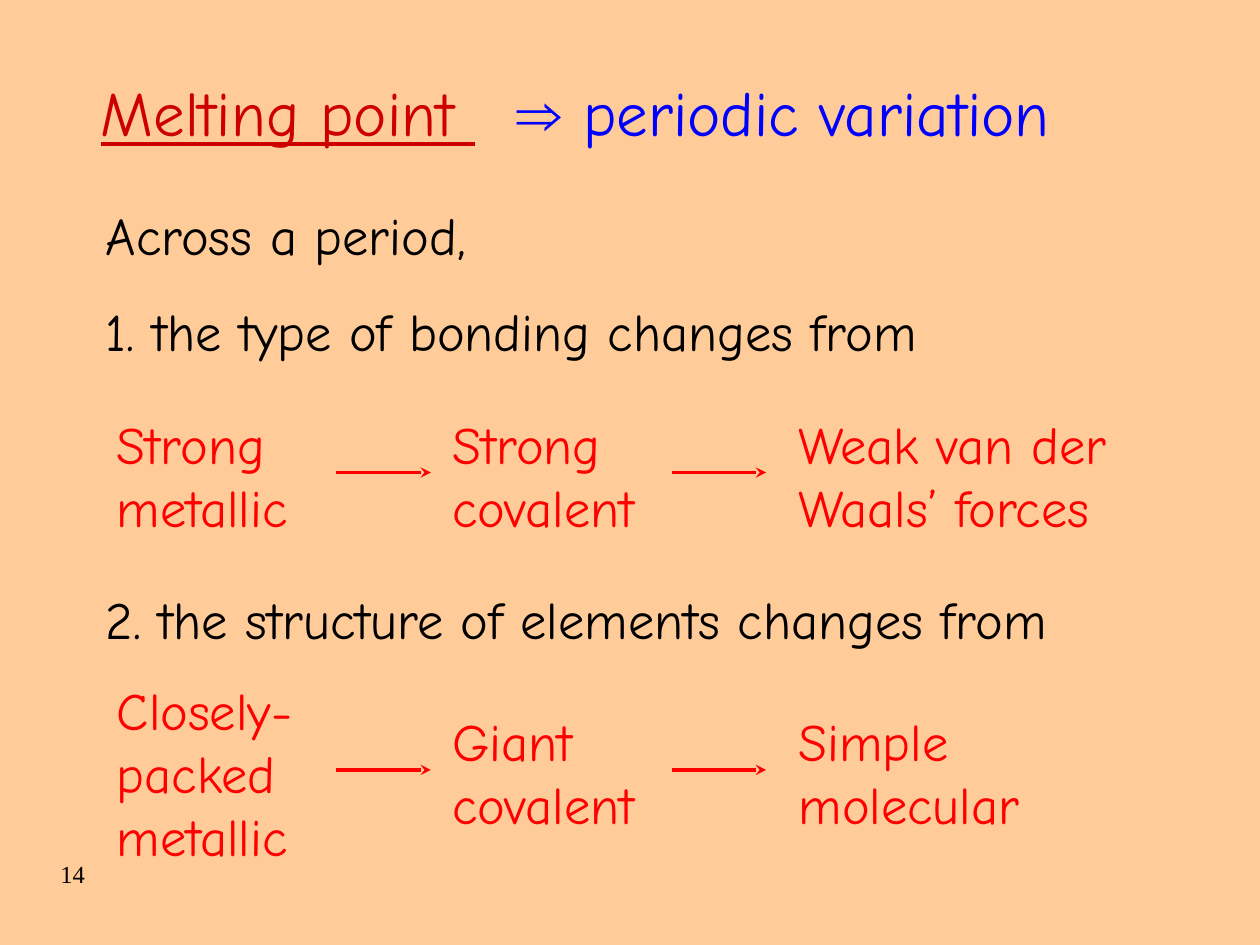
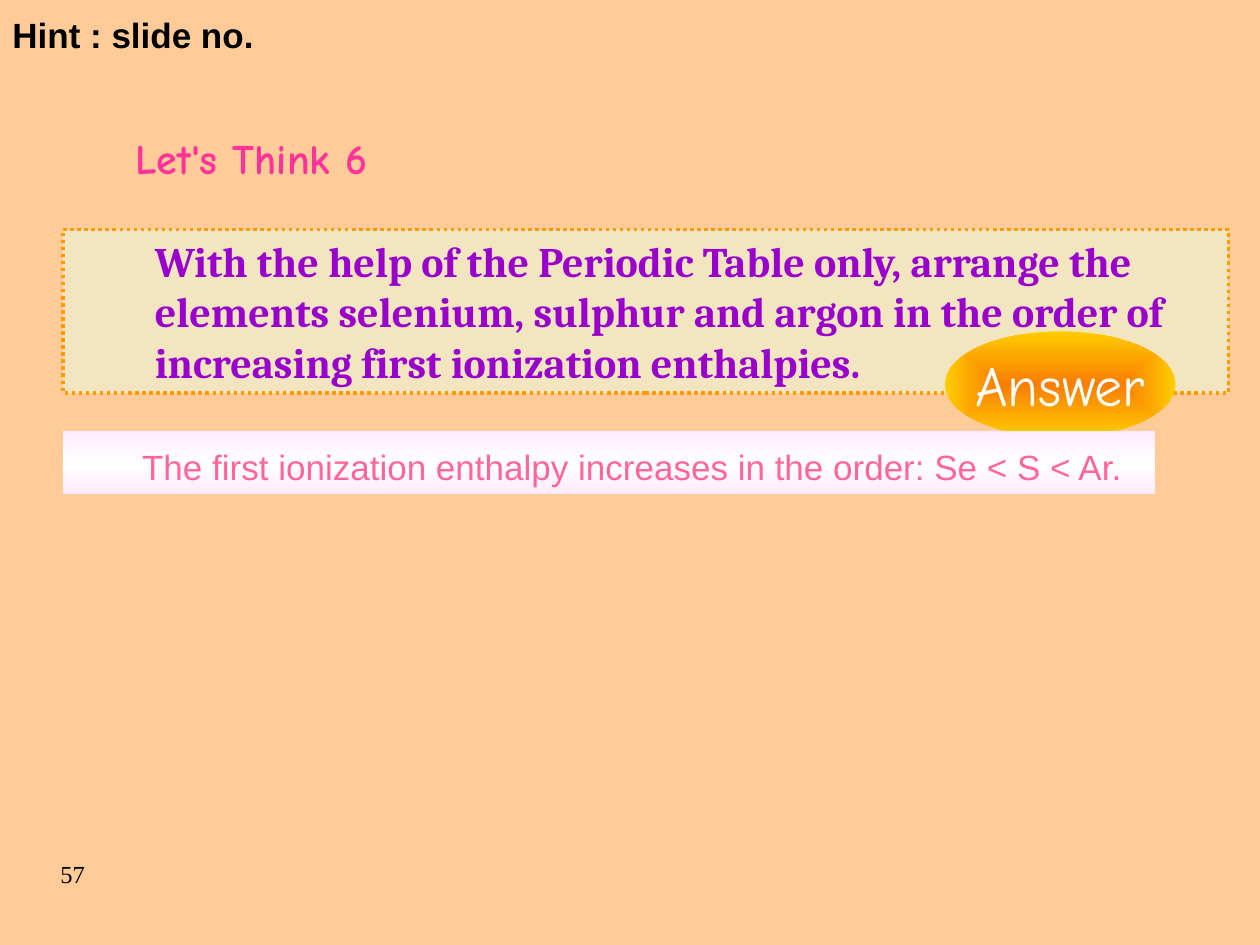
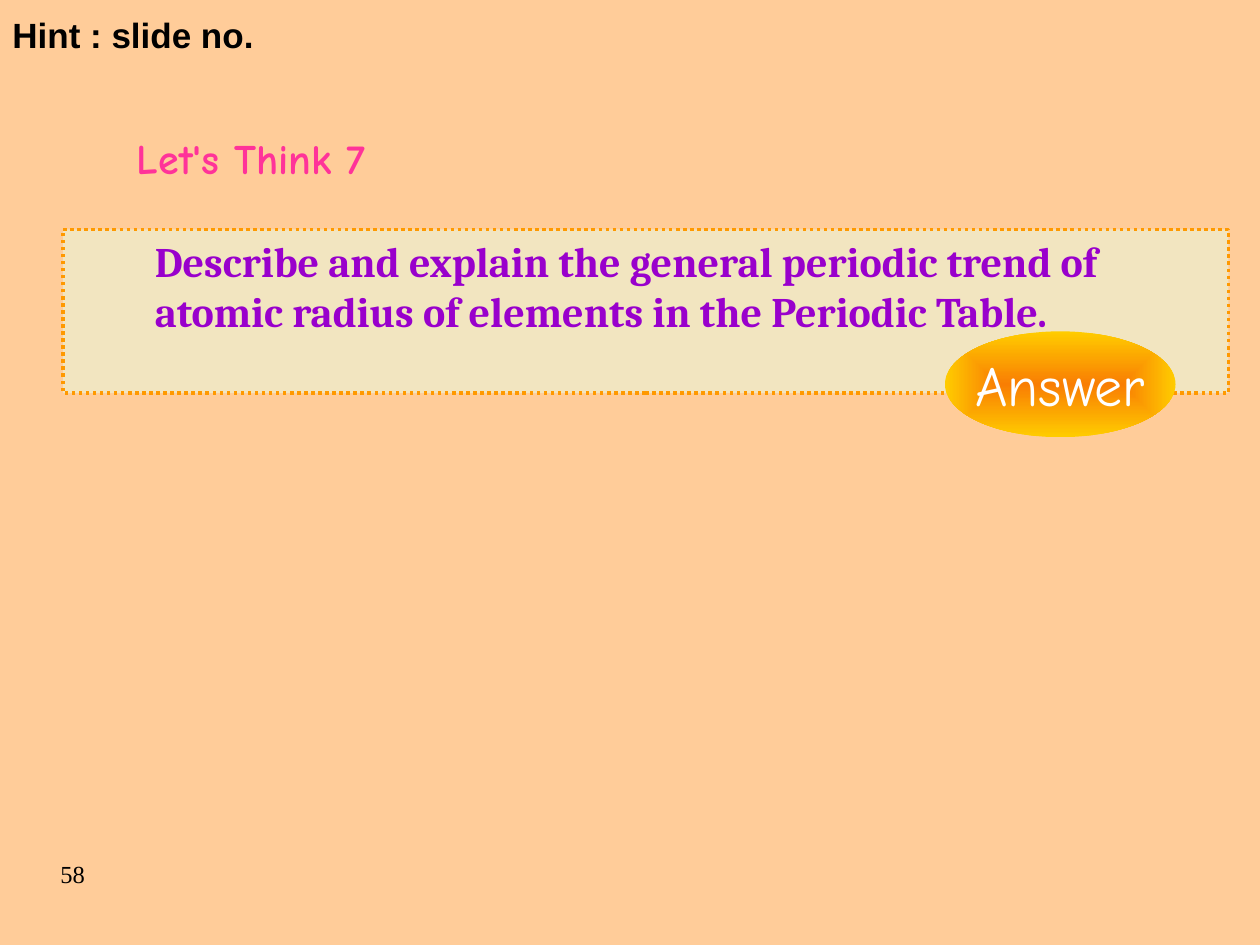
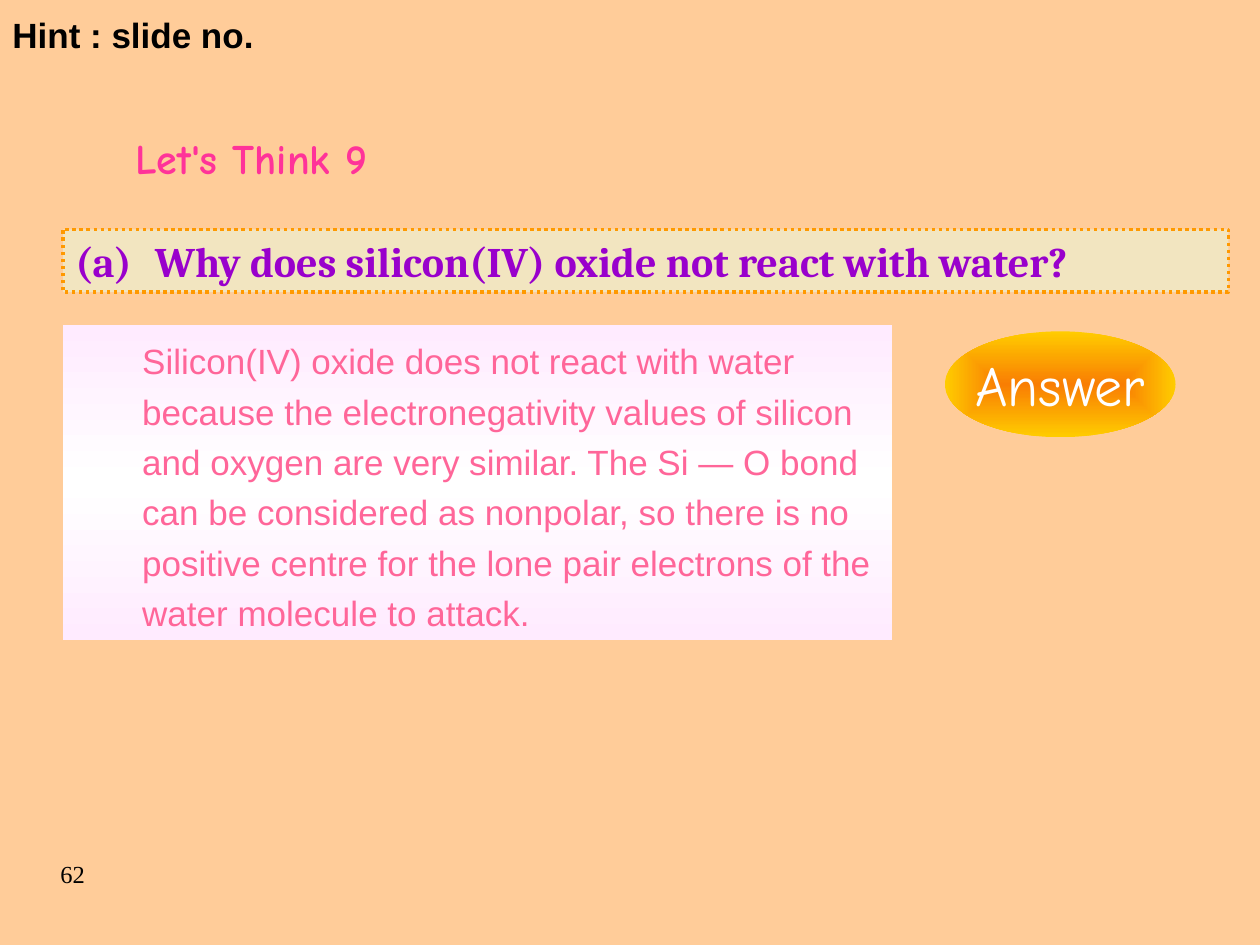
"""Build four chemistry slides: melting point trends and three Let's Think questions."""

from pptx import Presentation
from pptx.dml.color import RGBColor
from pptx.enum.dml import MSO_LINE
from pptx.enum.shapes import MSO_CONNECTOR, MSO_SHAPE
from pptx.enum.text import MSO_ANCHOR, MSO_AUTO_SIZE, PP_ALIGN
from pptx.oxml import parse_xml
from pptx.oxml.ns import nsdecls
from pptx.oxml.xmlchemy import OxmlElement
from pptx.util import Inches, Pt

COLORS = {
    "background": "FFCC99", "black": "000000", "white": "FFFFFF",
    "heading": "CC0000", "subheading": "0000FF", "flow": "FF0000",
    "think": "FF3399", "question": "9900CC", "question_fill": "E7FFE7",
    "question_border": "FF9900", "button_center": "F97E03", "button_edge": "FFCC00",
    "answer": "FF6699", "answer_edge": "FFEBFF",
}
HAND, SANS, SERIF, ROMAN = "Comic Neue", "Arial", "Cambria", "Times New Roman"

MELTING_POINT = {
    "number": 14,
    "title": "Melting point ",
    "subtitle": [("⇒", SANS), (" periodic variation", HAND)],
    "points": ["Across a period,", "1. the type of bonding changes from"],
    "second_point": "2. the structure of elements changes from",
    "flows": [
        (3.77, [("Strong metallic", 1.1), ("Strong covalent", 1.1),
                ("Weak van der Waals’ forces", 1.1)]),
        (6.13, [("Closely-packed metallic", 1.6), ("Giant covalent", 1.1),
                ("Simple molecular", 1.1)]),
    ],
}
FLOW_COLUMNS = [(0.83, 2.01), (3.49, 2.01), (6.24, 3.01)]
ARROW_LEFTS, ARROW_LENGTH = (2.67, 5.33), 0.75

QUESTIONS = [
    {"number": 57, "title": "Let's Think 6", "label": "", "question_height": 1.3,
     "question": "With the help of the Periodic Table only, arrange the elements selenium, "
                 "sulphur and argon in the order of increasing first ionization enthalpies.",
     "answer": "The first ionization enthalpy increases in the order: Se < S < Ar.",
     "answer_box": (0.5, 3.42, 8.67, 0.5)},
    {"number": 58, "title": "Let's Think 7", "label": "", "question_height": 1.3,
     "question": "Describe and explain the general periodic trend of atomic radius of "
                 "elements in the Periodic Table."},
    {"number": 62, "title": "Let's Think 9", "label": "(a)", "question_height": 0.5,
     "question": "Why does silicon(IV) oxide not react with water?",
     "answer": "Silicon(IV) oxide does not react with water because the electronegativity "
               "values of silicon and oxygen are very similar. The Si — O bond can be "
               "considered as nonpolar, so there is no positive centre for the lone pair "
               "electrons of the water molecule to attack.",
     "answer_box": (0.5, 2.58, 6.58, 2.5)},
]


def rgb(name):
    return RGBColor.from_string(COLORS[name])


def place(shape, box):
    shape.left, shape.top, shape.width, shape.height = map(Inches, box)


def write(shape, paragraphs, font, size, color, bold=False, underline=False,
          align=PP_ALIGN.LEFT, anchor=MSO_ANCHOR.TOP, before=0, spacing=1.0,
          margin=0, hanging=0):
    """Fill a shape with paragraphs, each a string or a list of (text, font) runs."""
    frame = shape.text_frame
    frame.word_wrap = True
    frame.auto_size = MSO_AUTO_SIZE.NONE
    frame.vertical_anchor = anchor
    for index, content in enumerate(paragraphs):
        paragraph = frame.add_paragraph() if index else frame.paragraphs[0]
        paragraph.alignment = align
        paragraph.space_before = Pt(before)
        paragraph.line_spacing = spacing
        properties = paragraph._p.get_or_add_pPr()
        properties.set("marL", str(Inches(margin)))
        properties.set("indent", str(-Inches(hanging)))
        properties.append(OxmlElement("a:buNone"))
        runs = [(content, font)] if isinstance(content, str) else content
        for text, run_font in runs:
            run = paragraph.add_run()
            run.text = text
            run.font.name = run_font
            run.font.size = Pt(size)
            run.font.bold = bold
            run.font.underline = underline
            run.font.color.rgb = rgb(color)


def add_text(shapes, box, paragraphs, font, size, color, **style):
    text_box = shapes.add_textbox(*map(Inches, box))
    write(text_box, paragraphs, font, size, color, **style)


def add_panel(slide, preset, box):
    panel = slide.shapes.add_shape(preset, *map(Inches, box))
    panel.shadow.inherit = False
    panel.line.fill.background()
    return panel


def fill_gradient(shape, stops, direction):
    stop_xml = "".join(
        f'<a:gs pos="{position * 1000}"><a:srgbClr val="{COLORS[name]}"/></a:gs>'
        for position, name in stops)
    gradient = parse_xml(f'<a:gradFill {nsdecls("a")} rotWithShape="1">'
                         f'<a:gsLst>{stop_xml}</a:gsLst>{direction}</a:gradFill>')
    shape.fill.background()
    properties = shape._element.spPr
    properties.replace(properties.find(gradient.tag.replace("gradFill", "noFill")), gradient)


def add_arrow(shapes, left, top):
    arrow = shapes.add_connector(MSO_CONNECTOR.STRAIGHT, Inches(left), Inches(top),
                                 Inches(left + ARROW_LENGTH), Inches(top))
    arrow.line.color.rgb = rgb("flow")
    arrow.line.width = Pt(2)
    head = OxmlElement("a:tailEnd")
    head.set("type", "stealth")
    arrow.line._get_or_add_ln().append(head)
    arrow._element.spPr.append(OxmlElement("a:effectLst"))


def add_slide(presentation, layout_index, number):
    slide = presentation.slides.add_slide(presentation.slide_layouts[layout_index])
    add_text(slide.shapes, (0.38, 6.77, 1.42, 0.5), [str(number)], ROMAN, 14, "black")
    return slide


def add_flow(slide, center, steps):
    shapes = slide.shapes.add_group_shape().shapes
    for (left, width), (text, height) in zip(FLOW_COLUMNS, steps):
        add_text(shapes, (left, center - height / 2, width, height), [text],
                 HAND, 30, "flow", before=18.75)
    for left in ARROW_LEFTS:
        add_arrow(shapes, left, center - 0.02)


def build_melting_point(presentation, content):
    slide = add_slide(presentation, 1, content["number"])
    title, body = slide.shapes.title, slide.placeholders[1]
    place(title, (0.7, 0.42, 5.72, 0.92))
    write(title, [content["title"]], HAND, 36, "heading", underline=True,
          anchor=MSO_ANCHOR.MIDDLE, before=22.5)
    add_text(slide.shapes, (4, 0.42, 5.72, 0.92), [content["subtitle"]], HAND, 36,
             "subheading", anchor=MSO_ANCHOR.MIDDLE, before=22.5)
    place(body, (0.74, 1.56, 9.01, 1.36))
    write(body, content["points"], HAND, 30, "black", before=18.75)
    add_text(slide.shapes, (0.74, 4.61, 9.01, 0.6), [content["second_point"]],
             HAND, 30, "black", before=18.75)
    for center, steps in content["flows"]:
        add_flow(slide, center, steps)


def add_question(slide, content):
    panel = add_panel(slide, MSO_SHAPE.RECTANGLE, (0.5, 1.82, 9.25, content["question_height"]))
    panel.fill.solid()
    panel.fill.fore_color.rgb = rgb("question_fill")
    alpha = OxmlElement("a:alpha")
    alpha.set("val", "50000")
    panel.fill._xPr.solidFill.srgbClr.append(alpha)
    panel.line.color.rgb = rgb("question_border")
    panel.line.width = Pt(2)
    panel.line.dash_style = MSO_LINE.ROUND_DOT
    write(panel, [f'{content["label"]}\t{content["question"]}'], SERIF, 24, "question",
          bold=True, before=15, margin=0.63, hanging=0.63)


def add_button(slide):
    button = add_panel(slide, MSO_SHAPE.OVAL, (7.5, 2.63, 1.83, 0.84))
    fill_gradient(button, [(0, "button_center"), (100, "button_edge")],
                  '<a:path path="rect"><a:fillToRect l="50000" t="50000" r="50000" '
                  'b="50000"/></a:path>')
    write(button, ["Answer"], HAND, 32, "white", align=PP_ALIGN.CENTER,
          anchor=MSO_ANCHOR.MIDDLE)
    button.text_frame.word_wrap = False


def add_answer(slide, content):
    panel = add_panel(slide, MSO_SHAPE.RECTANGLE, content["answer_box"])
    fill_gradient(panel, [(0, "answer_edge"), (50, "white"), (100, "answer_edge")],
                  '<a:lin ang="5400000" scaled="1"/>')
    write(panel, [content["answer"]], SANS, 20, "answer", spacing=1.2, margin=0.53)


def build_question(presentation, content):
    slide = add_slide(presentation, 5, content["number"])
    title = slide.shapes.title
    place(title, (0.49, 1, 3.01, 0.78))
    write(title, [content["title"]], HAND, 24, "think", bold=True, align=PP_ALIGN.CENTER)
    add_question(slide, content)
    add_button(slide)
    if "answer" in content:
        add_answer(slide, content)
    add_text(slide.shapes, (0, 0.06, 5.92, 0.44), ["Hint : slide no."], SANS, 20,
             "black", bold=True)


def main():
    presentation = Presentation()
    presentation.slide_width, presentation.slide_height = Inches(10), Inches(7.5)
    background = presentation.slide_master.background.fill
    background.solid()
    background.fore_color.rgb = rgb("background")
    build_melting_point(presentation, MELTING_POINT)
    for content in QUESTIONS:
        build_question(presentation, content)
    presentation.save("out.pptx")


if __name__ == "__main__":
    main()
